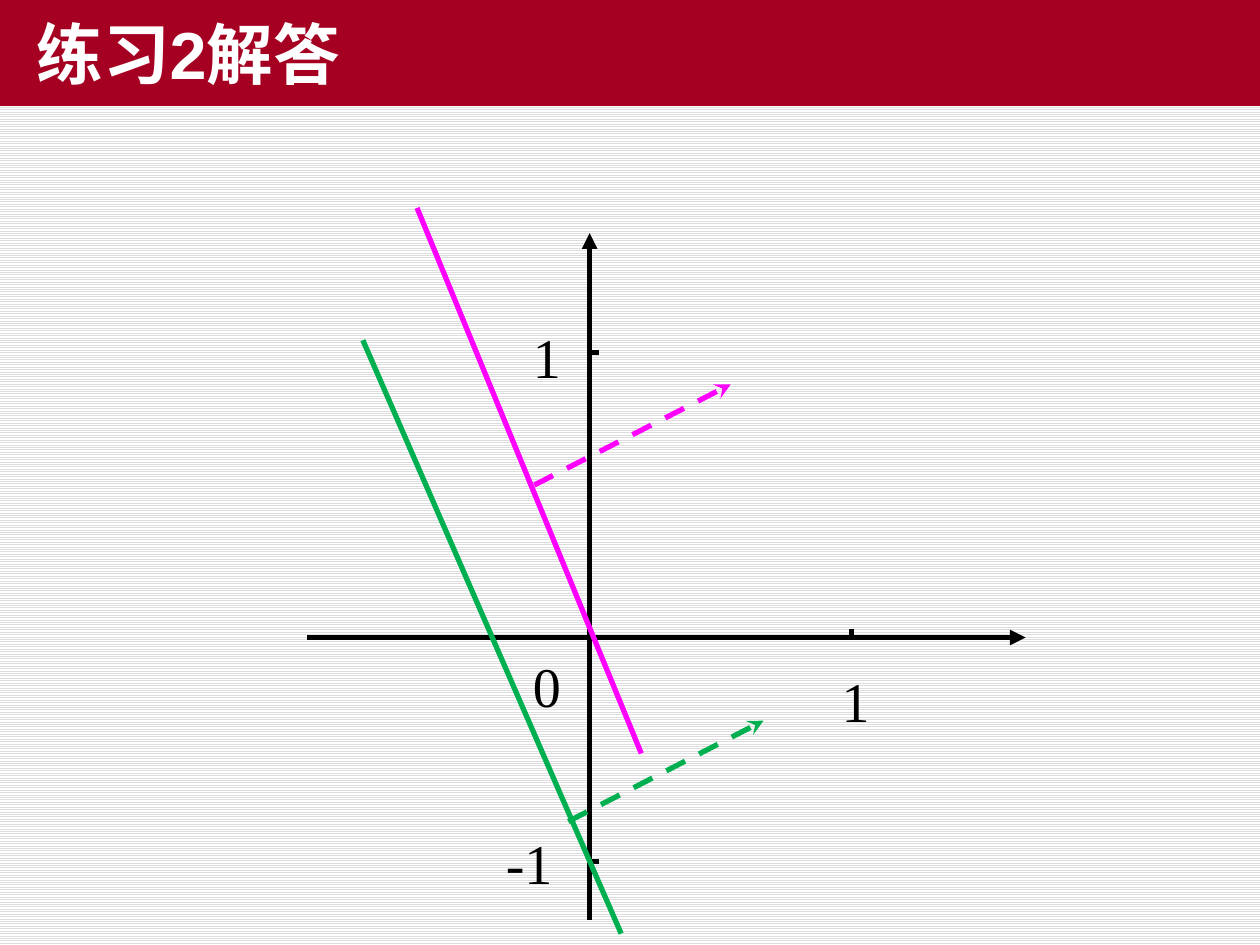
from lxml import etree
from pptx import Presentation
from pptx.dml.color import RGBColor
from pptx.enum.dml import MSO_LINE, MSO_PATTERN
from pptx.enum.shapes import MSO_CONNECTOR
from pptx.enum.text import MSO_ANCHOR, MSO_AUTO_SIZE, PP_ALIGN
from pptx.oxml.ns import qn
from pptx.util import Inches, Pt

DASH = MSO_LINE.DASH
HATCH = MSO_PATTERN.LIGHT_HORIZONTAL
LINE = MSO_CONNECTOR.STRAIGHT
MIDDLE = MSO_ANCHOR.MIDDLE
FIXED = MSO_AUTO_SIZE.NONE
LEFT, CENTER = PP_ALIGN.LEFT, PP_ALIGN.CENTER

WIDE, HIGH = 10, 7.5
OX, OY = 4.68, 5.06
TICK = 0.07
BLACK, GREEN, PINK = "000000", "00B050", "FF00FF"

TITLE = "练习2解答"
XTICKS = [6.76]
YTICKS = [6.84, 2.8]
AXES = [(2.44, OY, 8.14, OY), (OX, 7.3, OX, 1.85)]
LABELS = [
    ("-1", 3.75, 6.52, 0.9),
    ("1", 3.75, 2.51, 1.18),
    ("1", 6.32, 5.24, 0.94),
    ("0", 3.87, 5.12, 0.94),
]
BOUNDS = [
    (GREEN, (2.88, 2.7, 4.93, 7.41), (4.51, 6.52, 6.06, 5.72)),
    (PINK, (3.31, 1.65, 5.09, 5.98), (4.24, 3.85, 5.8, 3.05)),
]


def paint(hue):
    return RGBColor.from_string(hue)


def write(box, text, font, size, hue, bold=False, align=LEFT, indent=0):
    frame = box.text_frame
    frame.word_wrap = True
    frame.auto_size = FIXED
    frame.vertical_anchor = MIDDLE
    para = frame.paragraphs[0]
    para.text = text
    para.alignment = align
    para.space_before = Pt(0)
    if indent:
        para._p.get_or_add_pPr().set("indent", str(Inches(indent)))
    face = para.runs[0].font
    face.name, face.size, face.bold = font, Pt(size), bold
    face.color.rgb = paint(hue)


def draw(slide, ends, hue=BLACK, head=None, dash=None):
    link = slide.shapes.add_connector(LINE, *map(Inches, ends))
    link.line.color.rgb = paint(hue)
    link.line.width = Pt(3)
    if dash:
        link.line.dash_style = dash
    if head:
        tip = etree.SubElement(link.line._get_or_add_ln(), qn("a:tailEnd"))
        tip.set("type", head)
    etree.SubElement(link._element.spPr, qn("a:effectLst"))


def main():
    deck = Presentation()
    deck.slide_width, deck.slide_height = Inches(WIDE), Inches(HIGH)
    slide = deck.slides.add_slide(deck.slide_layouts[5])
    back = slide.background.fill
    back.patterned()
    back.pattern = HATCH
    back.fore_color.rgb = paint("DDDDDD")
    back.back_color.rgb = paint("FFFFFF")

    title = slide.shapes.title
    title.left, title.top = 0, 0
    title.width, title.height = Inches(WIDE), Inches(0.84)
    title.fill.solid()
    title.fill.fore_color.rgb = paint("A50021")
    write(title, TITLE, "Arial", 38, "FFFFFF", bold=True, indent=0.19)

    for text, left, top, width in LABELS:
        box = slide.shapes.add_textbox(*map(Inches, (left, top, width, 0.64)))
        write(box, text, "Times New Roman", 32, BLACK, align=CENTER)
    for ends in AXES:
        draw(slide, ends, head="triangle")
    for x in XTICKS:
        draw(slide, (x, OY - TICK, x, OY))
    for y in YTICKS:
        draw(slide, (OX, y, OX + TICK, y))
    for hue, edge, ray in BOUNDS:
        draw(slide, edge, hue)
        draw(slide, ray, hue, head="stealth", dash=DASH)

    deck.save("out.pptx")


if __name__ == "__main__":
    main()
